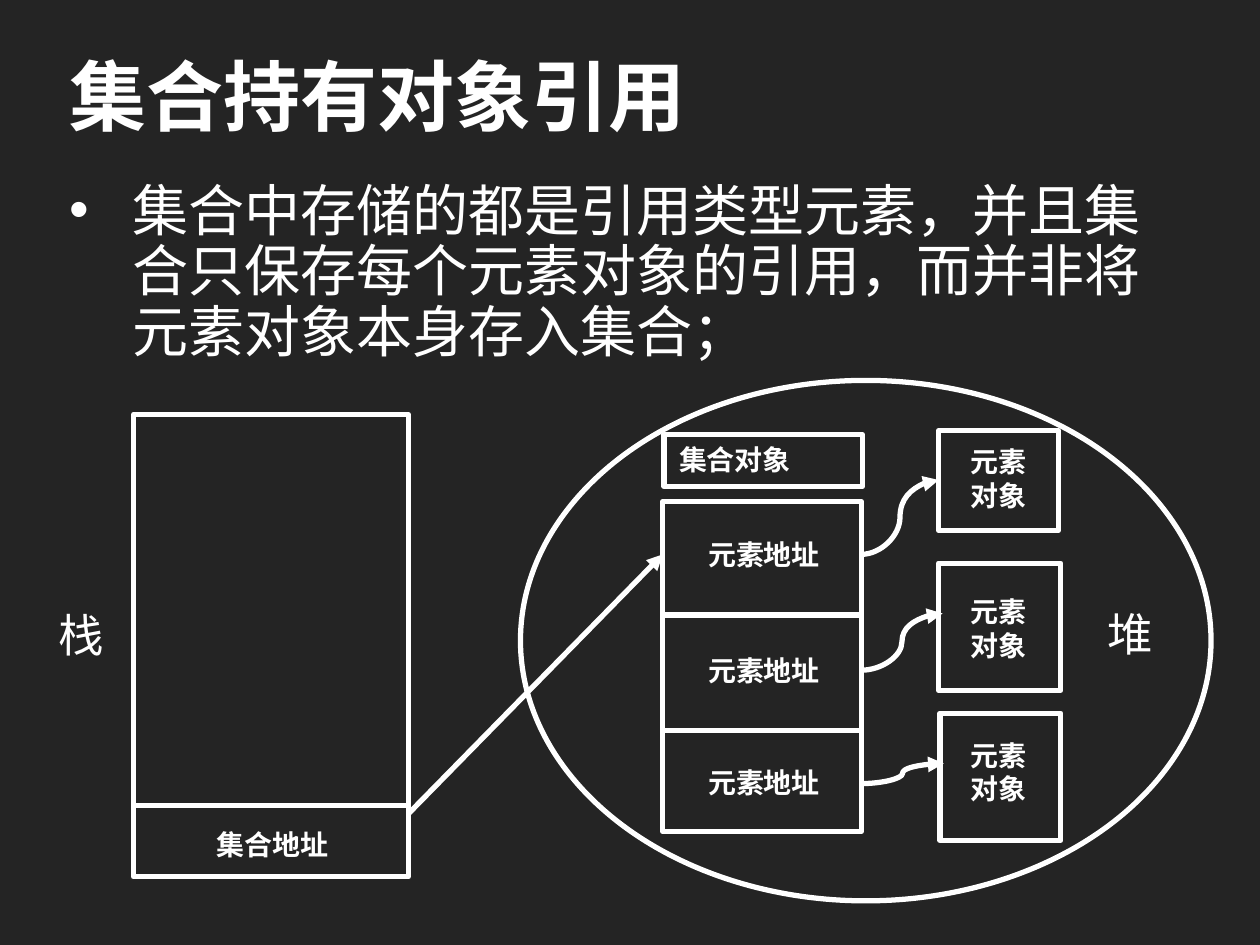
import lxml.etree
import pptx
import pptx.dml.color
import pptx.enum.shapes
import pptx.enum.text
import pptx.oxml.ns
import pptx.util

Pt = pptx.util.Pt
SHAPES = pptx.enum.shapes.MSO_SHAPE
CONNECTORS = pptx.enum.shapes.MSO_CONNECTOR
ANCHORS = pptx.enum.text.MSO_ANCHOR
SIZING = pptx.enum.text.MSO_AUTO_SIZE


def color(value):
    return pptx.dml.color.RGBColor.from_string(value)


def add_element(parent, tag, **attributes):
    return lxml.etree.SubElement(parent, pptx.oxml.ns.qn(tag), attributes)


def write(box, text, size=16, bold=True, insets=(8.64, 4.32), anchor=ANCHORS.TOP,
          grow=True, bullet=False, spacing=None):
    frame = box.text_frame
    frame.word_wrap = True
    frame.auto_size = SIZING.SHAPE_TO_FIT_TEXT if grow else SIZING.NONE
    frame.vertical_anchor = anchor
    frame.margin_left = frame.margin_right = Pt(insets[0])
    frame.margin_top = frame.margin_bottom = Pt(insets[1])
    para = frame.paragraphs[0]
    para.alignment = pptx.enum.text.PP_ALIGN.LEFT
    if bullet:
        properties = para._p.get_or_add_pPr()
        properties.set("marL", str(Pt(36)))
        properties.set("indent", str(-Pt(36)))
        add_element(properties, "a:buFont", typeface="Arial")
        add_element(properties, "a:buChar", char="•")
    if spacing:
        para.line_spacing = spacing
    span = para.add_run()
    span.text = text
    span.font.size = Pt(size)
    span.font.bold = bold
    span.font.name = Diagram.font
    span.font.color.rgb = color(Diagram.ink)
    add_element(span._r.get_or_add_rPr(), "a:ea", typeface=Diagram.font)


class Diagram:
    """Holds the slide style and the current page, and adds elements to it."""

    font = "Noto Sans CJK SC"
    ink = "FFFFFF"
    ground = "242424"
    weight = 3

    def __init__(self, deck):
        self.page = deck.slides.add_slide(deck.slide_layouts[6])
        self.page.background.fill.solid()
        self.page.background.fill.fore_color.rgb = color(self.ground)

    def stroke(self, line):
        line.color.rgb = color(self.ink)
        line.width = Pt(self.weight)

    def outline(self, kind, left, top, width, height):
        shape = self.page.shapes.add_shape(kind, Pt(left), Pt(top), Pt(width), Pt(height))
        shape.shadow.inherit = False
        shape.fill.background()
        self.stroke(shape.line)
        return shape

    def label(self, text, left, top, width, height, **style):
        box = self.page.shapes.add_textbox(Pt(left), Pt(top), Pt(width), Pt(height))
        write(box, text, **style)

    def connect(self, start, end, kind=CONNECTORS.STRAIGHT, arrow=False):
        connector = self.page.shapes.add_connector(kind, *map(Pt, start + end))
        self.stroke(connector.line)
        if arrow:
            add_element(connector.line._get_or_add_ln(), "a:tailEnd", type="triangle")
        add_element(connector._element.spPr, "a:effectLst")


def main():
    deck = pptx.Presentation()
    deck.slide_width, deck.slide_height = Pt(720), Pt(540)
    diagram = Diagram(deck)
    plain = dict(bold=False, insets=(7.2, 3.6))

    diagram.label("集合持有对象引用", 32.4, 16.6, 654.5, 74.9, size=44,
                  insets=(7.2, 3.6), anchor=ANCHORS.MIDDLE, grow=False)
    diagram.label("集合中存储的都是引用类型元素，并且集合只保存每个元素对象的引用，而并非将元素对象本身存入集合；",
                  32.4, 100.8, 656, 399.6, size=32, grow=False, bullet=True,
                  spacing=0.9, **plain)

    stack_left, stack_right = 76.3, 233.3
    diagram.outline(SHAPES.FLOWCHART_PROCESS, stack_left, 236.9,
                    stack_right - stack_left, 264.2)
    diagram.outline(SHAPES.OVAL, 297.4, 217.4, 394.6, 297.4)
    diagram.connect((stack_left, 460.1), (stack_right, 460.1))
    diagram.label("集合地址", 115.2, 468.7, 123.1, 28.1)
    diagram.label("栈", 26.6, 343.4, 42.5, 40.3, size=26, **plain)
    diagram.label("堆", 625.7, 342.7, 42.5, 40.3, size=26, **plain)

    list_left, list_right = 378.7, 492.2
    list_width = list_right - list_left
    header = diagram.outline(SHAPES.RECTANGLE, 379.4, 248.4, list_width, 29.5)
    write(header, "集合对象")
    diagram.outline(SHAPES.RECTANGLE, list_left, 286.6, list_width, 188.6)
    for divider in (351.4, 417.6):
        diagram.connect((list_left, divider), (list_right, divider))
    diagram.connect((stack_right, 465.1), (list_left, 316.8), arrow=True)

    rows = [
        (303.1, (536.4, 246.2, 68.4, 56.9), 249.8, (316.8, 536.4, 274.3)),
        (369.4, (536.4, 321.8, 69.8, 72.7), 335.5, (383, 538.6, 350.6)),
        (433.4, (537.1, 407.5, 69.1, 72.7), 417.6, (447.8, 539.3, 436.3)),
    ]
    for address_top, element, element_top, (start_y, end_x, end_y) in rows:
        diagram.label("元素地址", 396, address_top, 113.8, 28.1)
        diagram.outline(SHAPES.RECTANGLE, *element)
        diagram.label("元素对象", 545.8, element_top, 52.6, 49)
        diagram.connect((list_right, start_y), (end_x, end_y), CONNECTORS.CURVE, arrow=True)

    deck.save("out.pptx")


if __name__ == "__main__":
    main()
